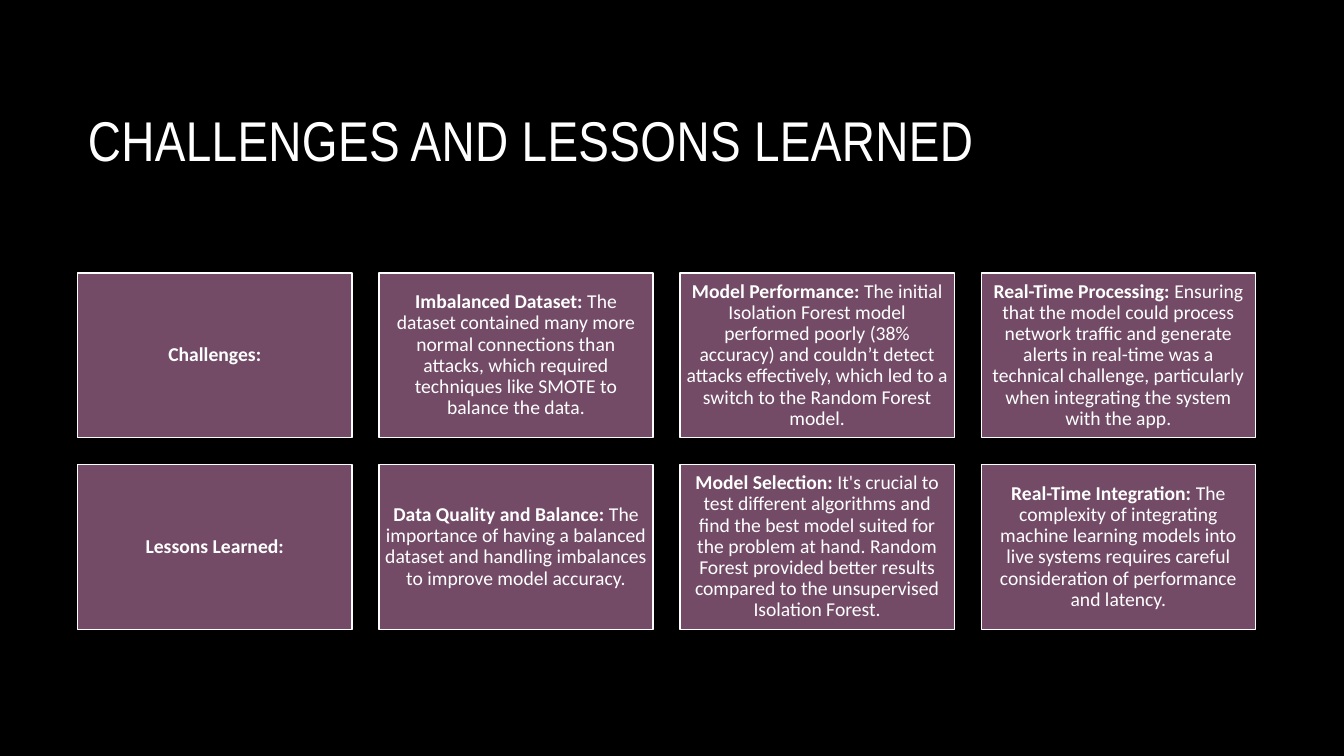
"""Build the slide on challenges and lessons learned."""
from pptx import Presentation, util as u
from pptx.dml.color import RGBColor
from pptx.enum import shapes, text

BLACK = RGBColor(0x00, 0x00, 0x00)
WHITE = RGBColor(0xFF, 0xFF, 0xFF)
PLUM = RGBColor(0x73, 0x4B, 0x67)

LEFT, TOP = 1.96, 6.88
CARD_W, CARD_H = 6.91, 4.15
STEP_X, STEP_Y = 7.59, 4.83

ROWS = [
    [
        ("Challenges:", ""),
        ("Imbalanced Dataset:",
         " The dataset contained many more normal connections than attacks, "
         "which required techniques like SMOTE to balance the data."),
        ("Model Performance:",
         " The initial Isolation Forest model performed poorly (38% accuracy) "
         "and couldn’t detect attacks effectively, which led to a switch to "
         "the Random Forest model."),
        ("Real-Time Processing:",
         " Ensuring that the model could process network traffic and generate "
         "alerts in real-time was a technical challenge, particularly when "
         "integrating the system with the app."),
    ],
    [
        ("Lessons Learned:", ""),
        ("Data Quality and Balance:",
         " The importance of having a balanced dataset and handling "
         "imbalances to improve model accuracy."),
        ("Model Selection:",
         " It's crucial to test different algorithms and find the best model "
         "suited for the problem at hand. Random Forest provided better "
         "results compared to the unsupervised Isolation Forest."),
        ("Real-Time Integration:",
         " The complexity of integrating machine learning models into live "
         "systems requires careful consideration of performance and latency."),
    ],
]


def format_run(r, font, size, bold=False):
    r.font.name = font
    r.font.size = u.Pt(size)
    r.font.bold = bold
    r.font.color.rgb = WHITE


def set_title(s, title):
    sp = s.shapes.title
    sp.left, sp.top = u.Cm(LEFT), u.Cm(2.54)
    sp.width, sp.height = u.Cm(29.69), u.Cm(3.63)
    tf = sp.text_frame
    tf.text = title
    tf.auto_size = text.MSO_AUTO_SIZE.NONE
    tf.vertical_anchor = text.MSO_ANCHOR.TOP
    p = tf.paragraphs[0]
    p.alignment = text.PP_ALIGN.LEFT
    r = p.runs[0]
    format_run(r, "Arial Narrow", 40)
    r.font._element.set("spc", "30")


def add_card(s, x, y, heading, detail):
    sp = s.shapes.add_shape(shapes.MSO_SHAPE.RECTANGLE,
                            u.Cm(x), u.Cm(y), u.Cm(CARD_W), u.Cm(CARD_H))
    sp.shadow.inherit = False
    sp.fill.solid()
    sp.fill.fore_color.rgb = PLUM
    sp.line.color.rgb = WHITE
    sp.line.width = u.Pt(1)
    tf = sp.text_frame
    tf.word_wrap = True
    tf.vertical_anchor = text.MSO_ANCHOR.MIDDLE
    tf.margin_left = tf.margin_right = u.Cm(0.15)
    tf.margin_top = tf.margin_bottom = u.Cm(0.15)
    p = tf.paragraphs[0]
    p.text = heading
    p.alignment = text.PP_ALIGN.CENTER
    p.line_spacing = 0.9
    format_run(p.runs[0], "Calibri", 14, bold=True)
    if detail:
        r = p.add_run()
        r.text = detail
        format_run(r, "Calibri", 14)


def main():
    prs = Presentation()
    prs.slide_width, prs.slide_height = u.Cm(33.87), u.Cm(19.05)
    s = prs.slides.add_slide(prs.slide_layouts[5])
    s.background.fill.solid()
    s.background.fill.fore_color.rgb = BLACK
    set_title(s, "CHALLENGES AND LESSONS LEARNED")
    for i, row in enumerate(ROWS):
        for j, (heading, detail) in enumerate(row):
            add_card(s, LEFT + j * STEP_X, TOP + i * STEP_Y, heading, detail)
    prs.save("out.pptx")


if __name__ == "__main__":
    main()
